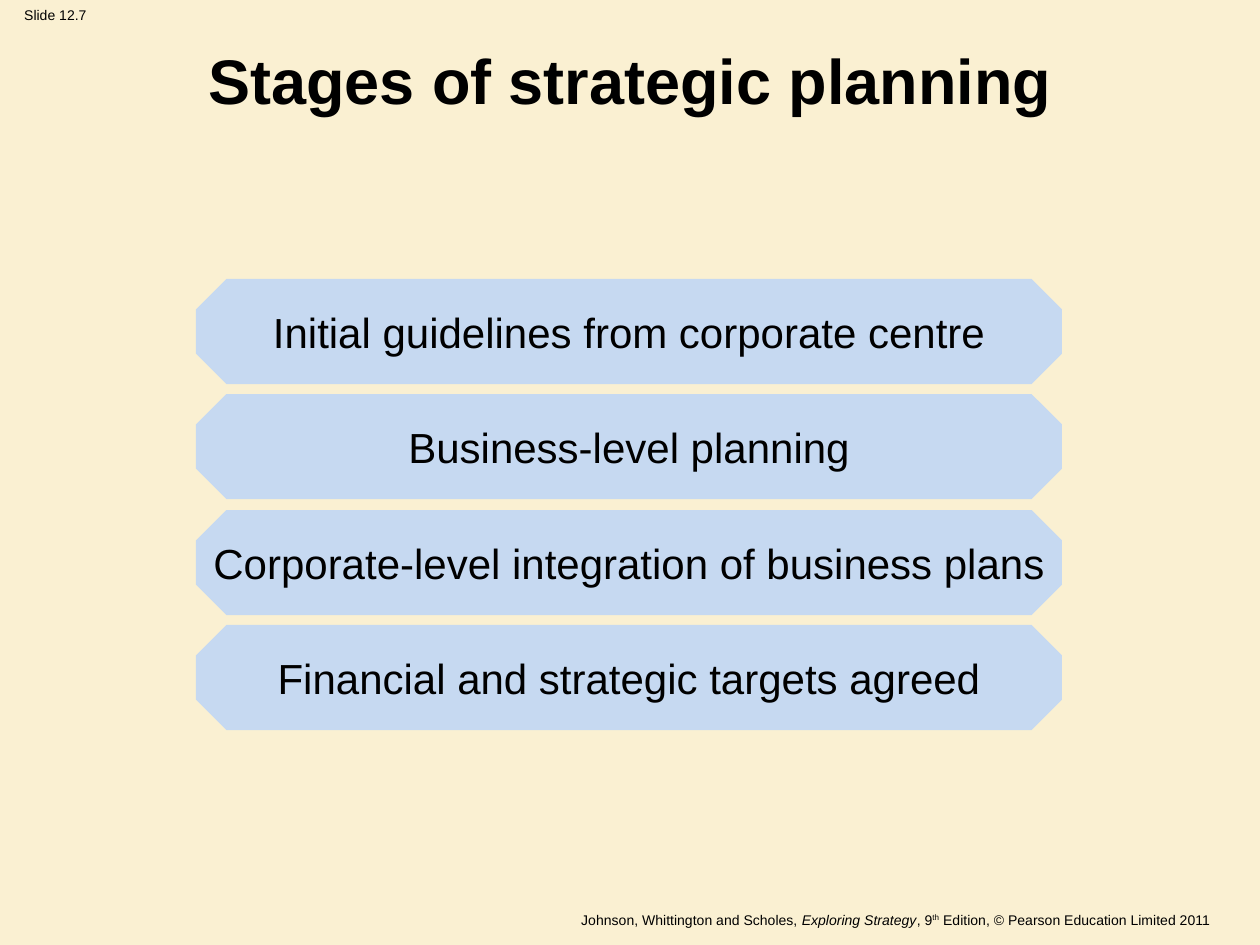
from dataclasses import dataclass

from pptx import Presentation
from pptx import util as u
from pptx.dml.color import RGBColor
from pptx.enum import shapes, text

EMU_PER_PX = u.Inches(1) / 126


@dataclass(frozen=True)
class Theme:
    background: RGBColor = RGBColor(0xFA, 0xF0, 0xD2)
    stage: RGBColor = RGBColor(0xC6, 0xD9, 0xF1)
    ink: RGBColor = RGBColor(0, 0, 0)
    font: str = "Arial"
    title_size: int = 36
    stage_size: int = 24
    small_size: int = 8


@dataclass(frozen=True)
class Box:
    left: int
    top: int
    width: int
    height: int

    def emu(self) -> list[int]:
        return [px(side) for side in (self.left, self.top, self.width, self.height)]


@dataclass(frozen=True)
class Piece:
    words: str
    italic: bool = False
    superscript: bool = False


THEME = Theme()
NUMBER_BOX = Box(0, 0, 111, 30)
FOOTER_BOX = Box(33, 905, 1190, 26)
TITLE_BOX = Box(63, 35, 1134, 88)
FIRST_STAGE = Box(196, 279, 866, 105)
LAST_STAGE_TOP = 625
STAGES = (
    "Initial guidelines from corporate centre",
    "Business-level planning",
    "Corporate-level integration of business plans",
    "Financial and strategic targets agreed",
)
FOOTER = (
    Piece("Johnson, Whittington and Scholes, "),
    Piece("Exploring Strategy", italic=True),
    Piece(", 9"),
    Piece("th", superscript=True),
    Piece(" Edition, © Pearson Education Limited 2011"),
)


def px(length: float) -> int:
    return round(length * EMU_PER_PX)


def write(shape, *pieces: Piece, size: int, bold: bool = False, wrap: bool = True,
          align=text.PP_ALIGN.CENTER, anchor=text.MSO_ANCHOR.TOP) -> None:
    frame = shape.text_frame
    frame.auto_size = text.MSO_AUTO_SIZE.NONE
    frame.word_wrap = wrap
    frame.vertical_anchor = anchor
    paragraph = frame.paragraphs[0]
    paragraph.alignment = align
    for piece in pieces:
        run = paragraph.add_run()
        run.text = piece.words
        font = run.font
        font.name = THEME.font
        font.size = u.Pt(size)
        font.bold = bold
        font.italic = piece.italic
        font.color.rgb = THEME.ink
        if piece.superscript:
            run._r.get_or_add_rPr().set("baseline", "30000")


def draw_stage(slide, words: str, box: Box) -> None:
    shape = slide.shapes.add_shape(shapes.MSO_SHAPE.OCTAGON, *box.emu())
    shape.adjustments[0] = 0.29
    shape.shadow.inherit = False
    shape.fill.solid()
    shape.fill.fore_color.rgb = THEME.stage
    shape.line.fill.background()
    write(shape, Piece(words), size=THEME.stage_size, wrap=False,
          anchor=text.MSO_ANCHOR.MIDDLE)


def main() -> None:
    presentation = Presentation()
    presentation.slide_width = u.Inches(10)
    presentation.slide_height = u.Inches(7.5)
    slide = presentation.slides.add_slide(presentation.slide_layouts[5])
    slide.background.fill.solid()
    slide.background.fill.fore_color.rgb = THEME.background

    title = slide.shapes.title
    title.left, title.top, title.width, title.height = TITLE_BOX.emu()
    write(title, Piece("Stages of strategic planning"), size=THEME.title_size,
          bold=True, anchor=text.MSO_ANCHOR.MIDDLE)

    number = slide.shapes.add_textbox(*NUMBER_BOX.emu())
    write(number, Piece("Slide 12.7"), size=THEME.small_size, wrap=False)
    footer = slide.shapes.add_textbox(*FOOTER_BOX.emu())
    write(footer, *FOOTER, size=THEME.small_size, align=text.PP_ALIGN.RIGHT)

    first = FIRST_STAGE
    step = (LAST_STAGE_TOP - first.top) / (len(STAGES) - 1)
    for index, words in enumerate(STAGES):
        top = round(first.top + index * step)
        draw_stage(slide, words, Box(first.left, top, first.width, first.height))

    presentation.save("out.pptx")


if __name__ == "__main__":
    main()
